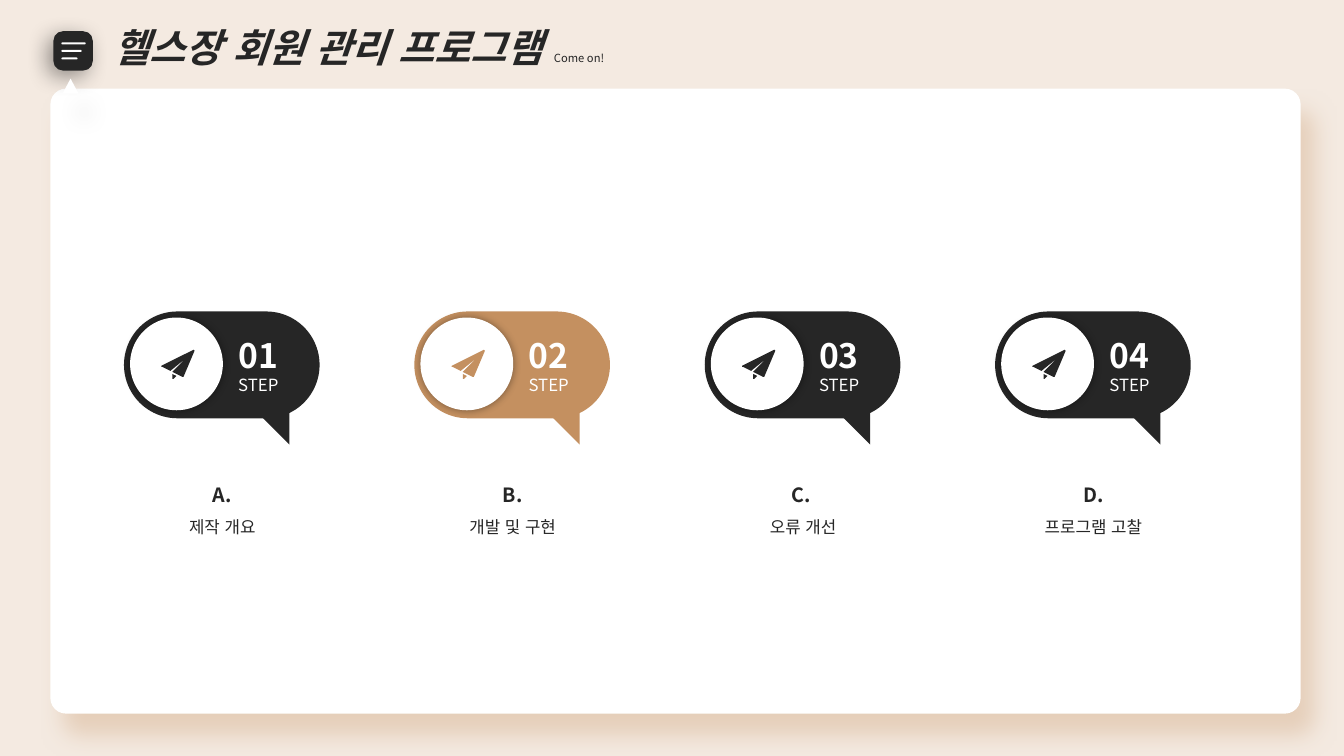
from dataclasses import dataclass

from lxml.etree import SubElement
from pptx import Presentation
from pptx.dml.color import RGBColor
from pptx.enum.lang import MSO_LANGUAGE_ID as Lang
from pptx.enum.shapes import MSO_SHAPE as Kind
from pptx.enum.text import MSO_ANCHOR as Anchor, MSO_AUTO_SIZE as Fit, PP_ALIGN as Align
from pptx.oxml.ns import qn
from pptx.util import Inches, Pt


@dataclass(frozen=True)
class Theme:
    font: str = "Noto Sans CJK KR"
    back: str = "F4EAE1"
    dark: str = "262626"
    tan: str = "C49060"
    white: str = "FFFFFF"
    glow: str = "E1C6AD"
    black: str = "000000"
    title: int = 28
    number: int = 24
    head: int = 14
    body: int = 12
    small: int = 8


THEME = Theme()
STEPS = [
    ("01", "A.", "제작 개요", THEME.dark),
    ("02", "B.", "개발 및 구현", THEME.tan),
    ("03", "C. ", "오류 개선", THEME.dark),
    ("04", "D.", "프로그램 고찰", THEME.dark),
]
LEFT, PITCH = 1.23, 2.88

# Paper plane outlines, measured from the left edge of a step
FOLD = [(0.48, 3.71), (0.52, 3.73), (0.49, 3.76), (0.48, 3.76)]
WING = [(0.69, 3.47), (0.7, 3.48), (0.59, 3.74), (0.58, 3.74), (0.48, 3.69),
        (0.62, 3.55), (0.46, 3.68), (0.38, 3.64), (0.37, 3.64), (0.37, 3.63)]


def paint(shape, color):
    shape.shadow.inherit = False
    shape.fill.solid()
    shape.fill.fore_color.rgb = RGBColor.from_string(color)
    shape.line.fill.background()


def add_shape(shapes, kind, box, color, adj=None):
    shape = shapes.add_shape(kind, *map(Inches, box))
    paint(shape, color)
    if adj is not None:
        shape.adjustments[0] = adj
    return shape


def add_path(shapes, left, points, color):
    spots = [(Inches(left + x), Inches(y)) for x, y in points]
    pen = shapes.build_freeform(*spots[0])
    pen.add_line_segments(spots[1:], close=True)
    paint(pen.convert_to_shape(), color)


def cast(shape, color, alpha, blur, dist, angle):
    """Give the shape an outer shadow: percent, points, points, degrees."""
    effects = shape._element.spPr.find(qn("a:effectLst"))
    shadow = SubElement(effects, qn("a:outerShdw"), blurRad=str(Pt(blur)),
                        dist=str(Pt(dist)), dir=str(angle * 60000),
                        algn="ctr", rotWithShape="0")
    tint = SubElement(shadow, qn("a:srgbClr"), val=color)
    SubElement(tint, qn("a:alpha"), val=str(alpha * 1000))


def style(font, size, color, bold=False, italic=False):
    font.size, font.bold, font.italic = Pt(size), bold, italic
    font.color.rgb = RGBColor.from_string(color)
    font.name = THEME.font
    font.language_id = Lang.KOREAN
    SubElement(font._element, qn("a:ea"), typeface=THEME.font)


def add_box(slide, box):
    frame = slide.shapes.add_textbox(*map(Inches, box)).text_frame
    frame.word_wrap = True
    frame.auto_size = Fit.SHAPE_TO_FIT_TEXT
    return frame


def add_pair(frame, top, low, size, color, align):
    """Write a bold line above a plain one."""
    first, last = frame.paragraphs[0], frame.add_paragraph()
    for para, text, points in ((first, top, size), (last, low, THEME.body)):
        para.text, para.alignment = text, align
        style(para.font, points, color, bold=para is first)
    return first, last


def add_card(slide):
    shapes = slide.shapes.add_group_shape().shapes
    card = add_shape(shapes, Kind.ROUNDED_RECTANGLE, (0.5, 0.88, 12.4, 6.2),
                     THEME.white, 0.025)
    cast(card, THEME.glow, 75, 16, 19, 60)
    # Menu button
    menu = add_shape(shapes, Kind.ROUNDED_RECTANGLE, (0.53, 0.31, 0.39, 0.39),
                     THEME.dark, 0.242)
    cast(menu, THEME.black, 40, 16, 6, 135)
    for row, width in enumerate((0.24, 0.2, 0.16)):
        add_shape(shapes, Kind.ROUNDED_RECTANGLE,
                  (0.61, 0.42 + row * 0.075, width, 0.02), THEME.white, 0.5)
    tip = add_shape(shapes, Kind.ISOSCELES_TRIANGLE, (0.62, 0.78, 0.16, 0.15),
                    THEME.white)
    cast(tip, THEME.black, 11, 16, 19, 60)


def add_title(slide):
    para = add_box(slide, (1.03, 0.18, 7.85, 0.57)).paragraphs[0]
    for text, size, strong in (("헬스장 회원 관리 프로그램 ", THEME.title, True),
                               ("Come on!", THEME.small, False)):
        run = para.add_run()
        run.text = text
        style(run.font, size, THEME.dark, strong, strong)


def add_step(slide, left, number, head, body, color):
    shapes = slide.shapes.add_group_shape().shapes
    # Bubble with its number
    pill = add_shape(shapes, Kind.ROUNDED_RECTANGLE, (left, 3.09, 1.94, 1.06),
                     color, 0.5)
    frame = pill.text_frame
    frame.vertical_anchor = Anchor.MIDDLE
    for para in add_pair(frame, number, "STEP", THEME.number, THEME.white, Align.LEFT):
        props = para._p.get_or_add_pPr()
        props.set("marL", str(Inches(0.88)))
        props.set("indent", "0")
    # Disc with the plane
    disc = add_shape(shapes, Kind.OVAL, (left + 0.06, 3.15, 0.92, 0.92), THEME.white)
    cast(disc, THEME.black, 40, 6, 0, 0)
    for points in (FOLD, WING):
        add_path(shapes, left, points, color)
    # Tail
    tail = add_shape(shapes, Kind.RIGHT_TRIANGLE, (left + 1.29, 4.06, 0.35, 0.35), color)
    tail.rotation = 180
    # Caption
    frame = add_box(slide, (left - 0.3, 4.63, 2.55, 0.76))
    for para in add_pair(frame, head, body, THEME.head, THEME.dark, Align.CENTER):
        para.line_spacing = 1.5


def main():
    deck = Presentation()
    deck.slide_width, deck.slide_height = Inches(13.33), Inches(7.5)
    slide = deck.slides.add_slide(deck.slide_layouts[6])
    slide.background.fill.solid()
    slide.background.fill.fore_color.rgb = RGBColor.from_string(THEME.back)
    add_card(slide)
    add_title(slide)
    for index, step in enumerate(STEPS):
        add_step(slide, LEFT + index * PITCH, *step)
    deck.save("out.pptx")


if __name__ == "__main__":
    main()
